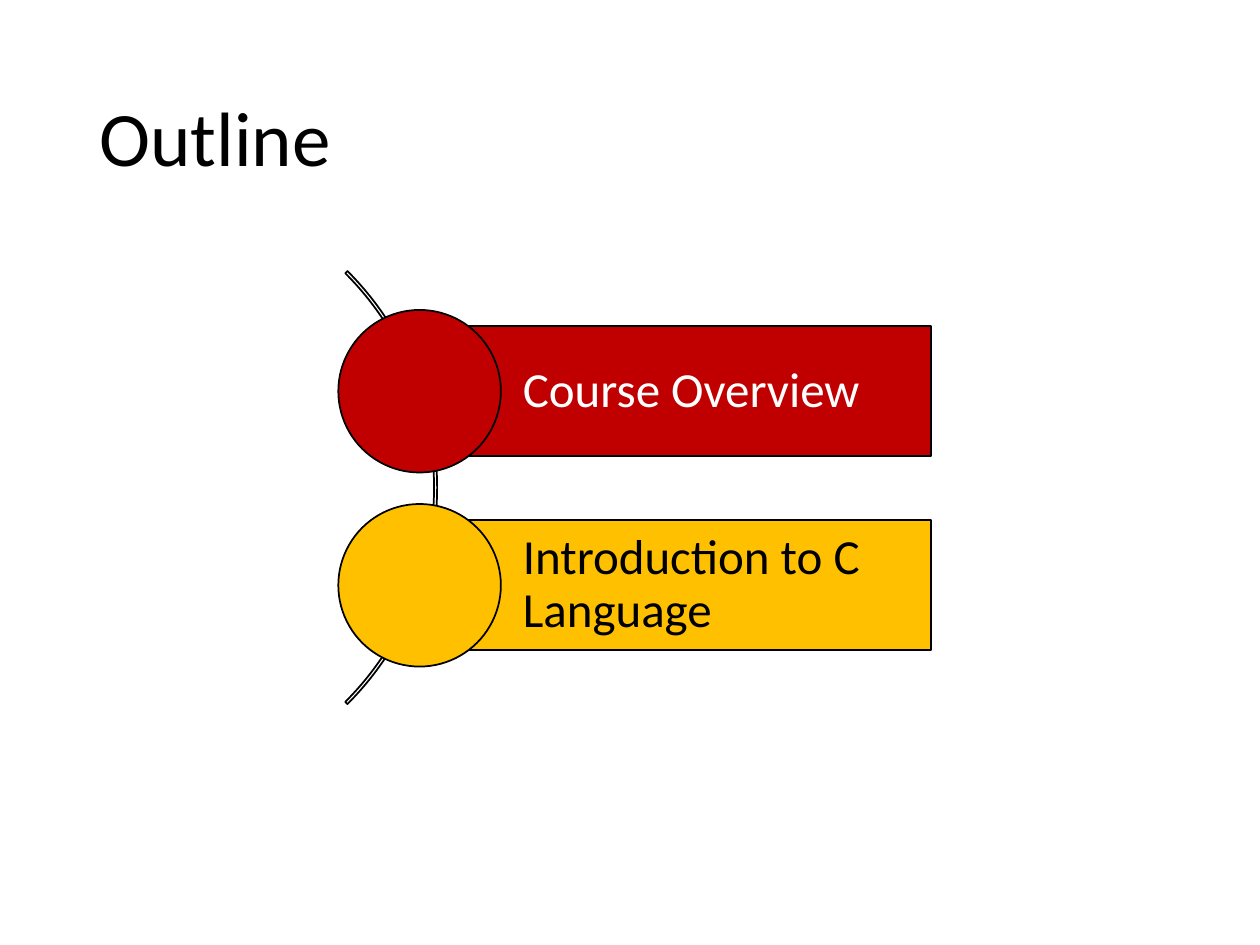
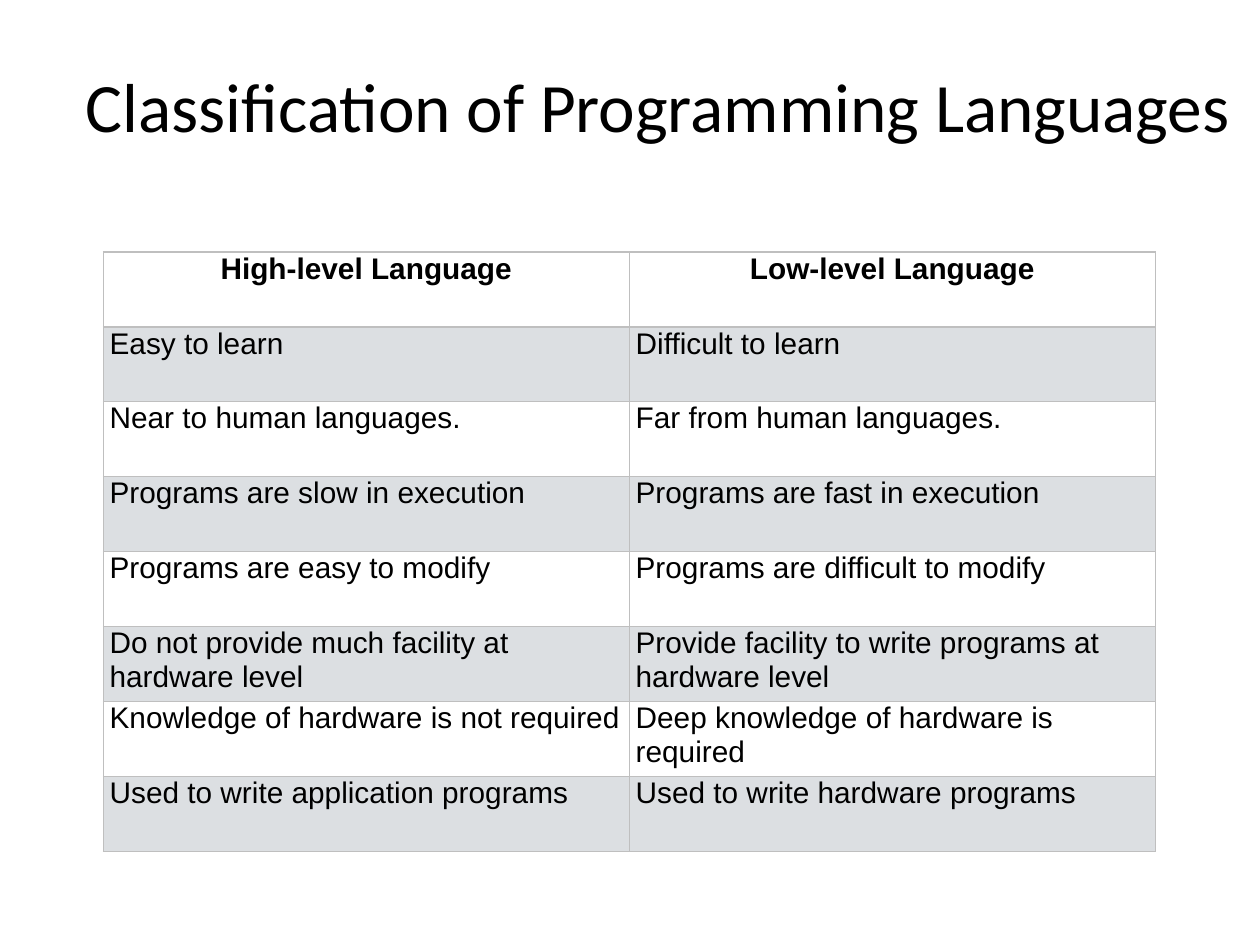
"""Build a course outline slide and a programming language comparison slide."""
import pptx
import pptx.dml.color
import pptx.enum.shapes
import pptx.enum.text
import pptx.oxml
import pptx.oxml.ns
import pptx.util

Inches = pptx.util.Inches
Pt = pptx.util.Pt
RGBColor = pptx.dml.color.RGBColor
Align = pptx.enum.text.PP_ALIGN
Anchor = pptx.enum.text.MSO_ANCHOR
Shapes = pptx.enum.shapes.MSO_SHAPE

BLACK = RGBColor(0x00, 0x00, 0x00)
WHITE = RGBColor(0xFF, 0xFF, 0xFF)
RED = RGBColor(0xC0, 0x00, 0x00)
AMBER = RGBColor(0xFF, 0xC0, 0x00)
BAND = RGBColor(0xDC, 0xDF, 0xE2)
BORDER = RGBColor(0xBF, 0xBF, 0xBF)

TOPICS = [
    ("Course Overview", RED, WHITE),
    ("Introduction to C Language", AMBER, BLACK),
]
COMPARISON = [
    ("High-level Language", "Low-level Language"),
    ("Easy to learn", "Difficult to learn"),
    ("Near to human languages.", "Far from human languages."),
    ("Programs are slow in execution", "Programs are fast in execution"),
    ("Programs are easy to modify", "Programs are difficult to modify"),
    ("Do not provide much facility at hardware level",
     "Provide facility to write programs at hardware level"),
    ("Knowledge of hardware is not required",
     "Deep knowledge of hardware is required"),
    ("Used to write application programs", "Used to write hardware programs"),
]


def write_text(frame, text, size, color=BLACK, font="Calibri", bold=False,
               align=Align.LEFT, line_spacing=0.9):
    """Put one formatted paragraph into a text frame."""
    frame.word_wrap = True
    paragraph = frame.paragraphs[0]
    paragraph.alignment = align
    paragraph.line_spacing = line_spacing
    run = paragraph.add_run()
    run.text = text
    run.font.name = font
    run.font.size = Pt(size)
    run.font.bold = bold
    run.font.color.rgb = color


def set_margins(target, left, top, right, bottom):
    """Set the inner margins of a text frame or table cell in inches."""
    target.margin_left = Inches(left)
    target.margin_top = Inches(top)
    target.margin_right = Inches(right)
    target.margin_bottom = Inches(bottom)


def add_titled_slide(presentation, text, left, top, width, height, size):
    """Add a title-only slide with its title placed and formatted."""
    slide = presentation.slides.add_slide(presentation.slide_layouts[5])
    title = slide.shapes.title
    title.left, title.top = Inches(left), Inches(top)
    title.width, title.height = Inches(width), Inches(height)
    frame = title.text_frame
    frame.auto_size = pptx.enum.text.MSO_AUTO_SIZE.NONE
    frame.vertical_anchor = Anchor.MIDDLE
    set_margins(frame, 0.1, 0.05, 0.1, 0.05)
    write_text(frame, text, size)
    return slide


def add_outlined_shape(slide, kind, left, top, width, height, fill=None):
    """Add a preset shape with a thin black outline."""
    shape = slide.shapes.add_shape(
        kind, Inches(left), Inches(top), Inches(width), Inches(height))
    shape.shadow.inherit = False
    if fill is None:
        shape.fill.background()
    else:
        shape.fill.solid()
        shape.fill.fore_color.rgb = fill
    shape.line.color.rgb = BLACK
    shape.line.width = Pt(1)
    return shape


def add_arc(slide):
    """Add the thin arc that runs behind the topic circles."""
    arc = add_outlined_shape(slide, Shapes.BLOCK_ARC, -1.39, 1.44, 4.86, 4.86)
    for index, value in enumerate((189, 27, 0.005)):
        arc.adjustments[index] = value


def add_topic(slide, text, top, fill, color):
    """Add a topic bar with a circle centred on its left edge."""
    left, height, diameter = 3.33, 1.03, 1.29
    bar = add_outlined_shape(
        slide, Shapes.RECTANGLE, left, top, 4.06, height, fill)
    bar.text_frame.vertical_anchor = Anchor.MIDDLE
    set_margins(bar.text_frame, 0.82, 0.08, 0.08, 0.08)
    write_text(bar.text_frame, text, 28, color)
    add_outlined_shape(slide, Shapes.OVAL, left - diameter / 2,
                       top - (diameter - height) / 2, diameter, diameter, fill)


def set_borders(cell):
    """Draw a thin grey line on each side of a table cell."""
    properties = cell._tc.get_or_add_tcPr()
    for side in ("lnL", "lnR", "lnT", "lnB"):
        properties.append(pptx.oxml.parse_xml(
            f'<a:{side} {pptx.oxml.ns.nsdecls("a")} w="{Pt(0.75)}">'
            f'<a:solidFill><a:srgbClr val="{BORDER}"/></a:solidFill></a:{side}>'))


def add_comparison_table(slide, rows):
    """Add a banded two-column table with a bold, centred header."""
    table = slide.shapes.add_table(
        len(rows), 2, Inches(0.82), Inches(2), Inches(8.35), Inches(4.76)).table
    table.horz_banding = False
    for row_index, texts in enumerate(rows):
        header = row_index == 0
        for column_index, text in enumerate(texts):
            cell = table.cell(row_index, column_index)
            set_borders(cell)
            cell.fill.solid()
            cell.fill.fore_color.rgb = BAND if row_index % 2 else WHITE
            cell.vertical_anchor = Anchor.TOP
            set_margins(cell, 0.05, 0, 0.05, 0)
            write_text(cell.text_frame, text, 17, font="Arial", bold=header,
                       align=Align.CENTER if header else Align.LEFT,
                       line_spacing=1.0)


def main():
    """Build both slides and save the presentation."""
    presentation = pptx.Presentation()
    presentation.slide_width = Inches(10)
    presentation.slide_height = Inches(7.5)

    outline = add_titled_slide(
        presentation, "Outline", 0.69, 0.4, 8.62, 1.45, 44)
    add_arc(outline)
    for index, (text, fill, color) in enumerate(TOPICS):
        add_topic(outline, text, 2.59 + index * 1.54, fill, color)

    classification = add_titled_slide(
        presentation, "Classification of Programming Languages",
        0.58, 0.25, 9.42, 1.25, 39.6)
    add_comparison_table(classification, COMPARISON)

    presentation.save("out.pptx")


if __name__ == "__main__":
    main()
